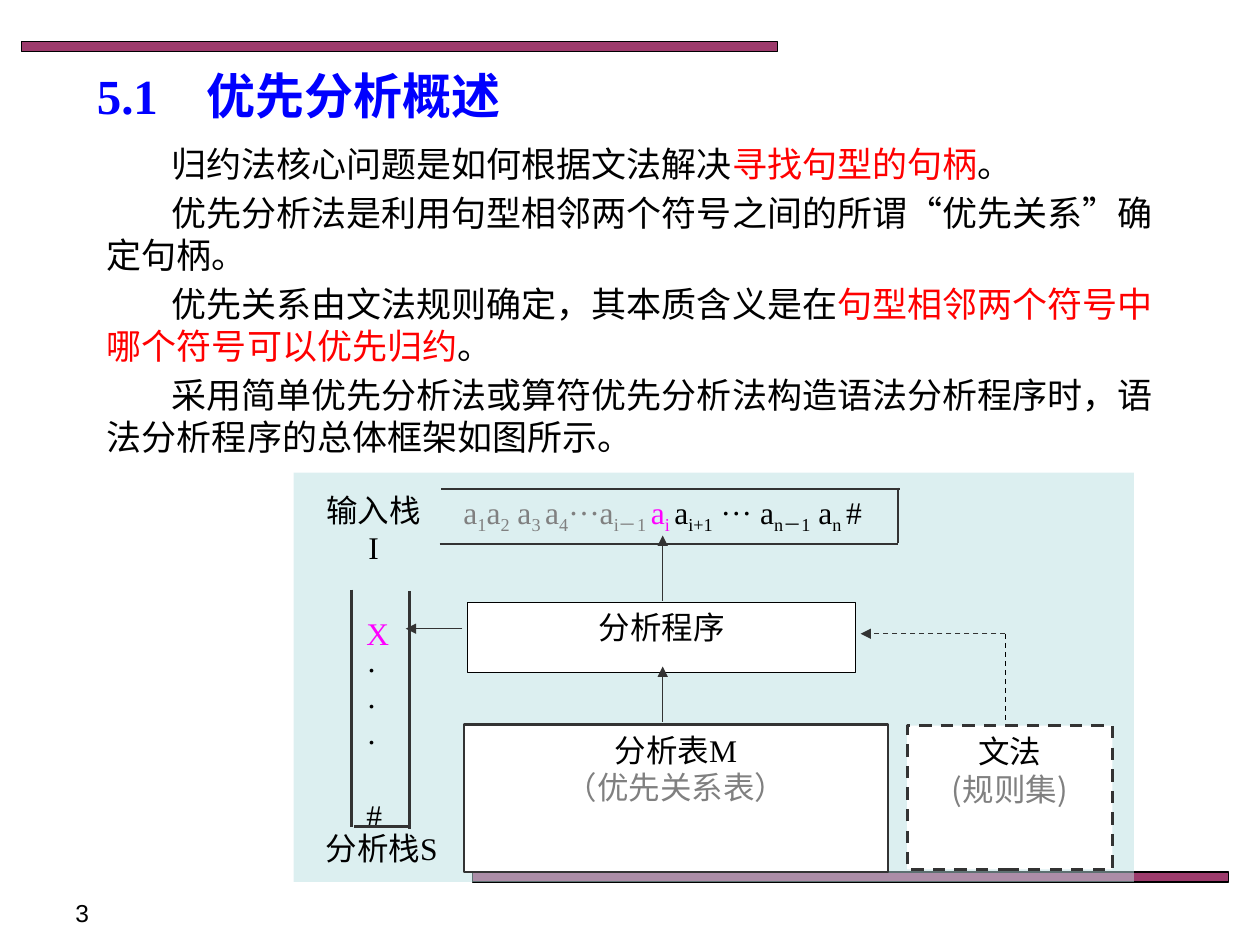
from typing import NamedTuple, Optional

from lxml import etree
from pptx import Presentation
from pptx.dml.color import RGBColor
from pptx.enum.dml import MSO_LINE
from pptx.enum.shapes import MSO_CONNECTOR, MSO_SHAPE
from pptx.enum.text import MSO_ANCHOR, PP_ALIGN
from pptx.oxml.ns import qn
from pptx.util import Inches, Pt

RECT, STRAIGHT = MSO_SHAPE.RECTANGLE, MSO_CONNECTOR.STRAIGHT
DASH = MSO_LINE.DASH
LEFT, CENTER, JUSTIFY = PP_ALIGN.LEFT, PP_ALIGN.CENTER, PP_ALIGN.JUSTIFY
TOP, MIDDLE = MSO_ANCHOR.TOP, MSO_ANCHOR.MIDDLE

BLACK = RGBColor(0x00, 0x00, 0x00)
WHITE = RGBColor(0xFF, 0xFF, 0xFF)
RED = RGBColor(0xFF, 0x00, 0x00)
BLUE = RGBColor(0x00, 0x00, 0xFF)
MAGENTA = RGBColor(0xFF, 0x00, 0xFF)
GRAY = RGBColor(0x80, 0x80, 0x80)
DARK = RGBColor(0x33, 0x33, 0x33)
PLUM = RGBColor(0x99, 0x33, 0x66)
PALE_TEAL = RGBColor(0xBB, 0xE0, 0xE3)

TIMES, SANS, ARIAL = "Times New Roman", "Noto Sans CJK SC", "Arial"


class Run(NamedTuple):
    text: str
    color: RGBColor = BLACK
    font: str = TIMES
    sub: bool = False


class Style(NamedTuple):
    size: float = 18
    align: PP_ALIGN = CENTER
    anchor: MSO_ANCHOR = TOP
    bold: bool = False
    indent: float = 0
    before: float = 0
    spacing: Optional[float] = None
    side_inset: float = 0.1


class Box(NamedTuple):
    left: float
    top: float
    width: float
    height: float
    fill: RGBColor = WHITE
    line: Optional[RGBColor] = BLACK
    weight: float = 0.75
    dash: Optional[MSO_LINE] = None
    opacity: int = 100


class Label(NamedTuple):
    left: float
    top: float
    width: float
    height: float
    paragraphs: list[list[Run]]
    style: Style = Style()


class Stroke(NamedTuple):
    x1: float
    y1: float
    x2: float
    y2: float
    weight: float = 1.25
    color: RGBColor = DARK
    dash: Optional[MSO_LINE] = None
    arrow: bool = False


def write(frame, paragraphs: list[list[Run]], style: Style) -> None:
    frame.word_wrap = True
    frame.vertical_anchor = style.anchor
    frame.margin_left = frame.margin_right = Inches(style.side_inset)
    for number, runs in enumerate(paragraphs):
        para = frame.add_paragraph() if number else frame.paragraphs[0]
        para.alignment = style.align
        para.space_before = Pt(style.before)
        if style.spacing:
            para.line_spacing = style.spacing
        if style.indent:
            para._p.get_or_add_pPr().set("indent", str(Inches(style.indent)))
        for item in runs:
            run = para.add_run()
            run.text = item.text
            run.font.size = Pt(style.size)
            run.font.bold = style.bold
            run.font.name = item.font
            run.font.color.rgb = item.color
            props = run._r.get_or_add_rPr()
            etree.SubElement(props, qn("a:ea")).set("typeface", SANS)
            if item.sub:
                props.set("baseline", "-25000")


def add_box(slide, box: Box, paragraphs: Optional[list[list[Run]]] = None) -> None:
    shape = slide.shapes.add_shape(RECT, *map(Inches, box[:4]))
    shape.shadow.inherit = False
    shape.fill.solid()
    shape.fill.fore_color.rgb = box.fill
    if box.opacity < 100:
        color = shape.fill._xPr.find(qn("a:solidFill"))[0]
        etree.SubElement(color, qn("a:alpha")).set("val", str(box.opacity * 1000))
    if box.line is None:
        shape.line.fill.background()
    else:
        shape.line.color.rgb = box.line
        shape.line.width = Pt(box.weight)
        if box.dash:
            shape.line.dash_style = box.dash
    if paragraphs:
        write(shape.text_frame, paragraphs, Style())


def add_label(slide, label: Label):
    frame = slide.shapes.add_textbox(*map(Inches, label[:4])).text_frame
    write(frame, label.paragraphs, label.style)
    return frame


def add_stroke(slide, stroke: Stroke) -> None:
    line = slide.shapes.add_connector(STRAIGHT, *map(Inches, stroke[:4]))
    line.line.color.rgb = stroke.color
    line.line.width = Pt(stroke.weight)
    if stroke.dash:
        line.line.dash_style = stroke.dash
    if stroke.arrow:
        etree.SubElement(line.line._get_or_add_ln(), qn("a:tailEnd")).set("type", "triangle")
    etree.SubElement(line._element.spPr, qn("a:effectLst"))


prs = Presentation()
prs.slide_width, prs.slide_height = Inches(10), Inches(7.5)
slide = prs.slides.add_slide(prs.slide_layouts[6])

# Decorative bars, page number and diagram panel
for left, top in ((0.17, 0.33), (3.75, 6.92)):
    add_box(slide, Box(left, top, 6, 0.08, PLUM, opacity=96))
add_label(slide, Label(0.5, 7.08, 2.33, 0.27, [[Run("3", font=ARIAL)]], Style(14, LEFT)))
add_box(slide, Box(2.33, 3.75, 6.67, 3.25, PALE_TEAL, None, opacity=50))

# Title and body
add_label(slide, Label(0.67, 0.42, 4.32, 0.67, [[Run("5.1　优先分析概述", BLUE)]],
                       Style(28, LEFT, MIDDLE, bold=True)))
body = [
    [Run("归约法核心问题是如何根据文法解决"), Run("寻找句型的句柄", RED), Run("。")],
    [Run("优先分析法是利用句型相邻两个符号之间的所谓"), Run("“"), Run("优先关系"),
     Run("”"), Run("确定句柄。")],
    [Run("优先关系由文法规则确定，其本质含义是在"),
     Run("句型相邻两个符号中哪个符号可以优先归约", RED), Run("。")],
    [Run("采用简单优先分析法或算符优先分析法构造语法分析程序时，"
         "语法分析程序的总体框架如图所示。")],
]
add_label(slide, Label(0.75, 1.08, 8.5, 2.66, body,
                       Style(20, JUSTIFY, indent=0.51, before=4)))

# Program, table and grammar boxes
add_box(slide, Box(3.71, 4.78, 3.08, 0.56), [[Run("分析程序")]])
add_box(slide, Box(3.68, 5.75, 3.37, 1.17, line=DARK, weight=1.25),
        [[Run("分析表M")], [Run("（优先关系表）", GRAY)]])
add_box(slide, Box(7.2, 5.76, 1.63, 1.14, line=DARK, weight=1.75, dash=DASH),
        [[Run("文法")], [Run("(", GRAY, SANS), Run("规则集", GRAY), Run(")", GRAY, SANS)]])

# Input string: each symbol followed by its subscript
symbols = [("a", "1", GRAY), ("a", "2", GRAY), (" a", "3 ", GRAY), ("a", "4", GRAY),
           ("···a", "i－1 ", GRAY), ("a", "i ", MAGENTA), ("a", "i+1", BLACK),
           (" ··· a", "n－1", BLACK), (" a", "n ", BLACK)]
tape = [Run(text, color, sub=sub) for base, index, color in symbols
        for text, sub in ((base, False), (index, True))] + [Run("#")]
add_label(slide, Label(3.33, 3.86, 3.86, 0.52, [tape]))
add_label(slide, Label(2.42, 3.87, 1.09, 0.52, [[Run("输入栈I")]],
                       Style(spacing=0.96, side_inset=0.14)))

# Analysis stack, with a gap above the bottom marker
stack = [[Run("X", MAGENTA)]] + [[Run("·")] for _ in range(3)] + [[Run("#")]]
stack_frame = add_label(slide, Label(2.81, 4.84, 0.44, 1.76, stack,
                                     Style(align=JUSTIFY, spacing=0.96)))
stack_frame.paragraphs[-1].space_before = Pt(21)
add_label(slide, Label(2.33, 6.53, 1.4, 0.33, [[Run("分析栈S")]]))

# Stack and tape outlines, then arrows
for stroke in (
    Stroke(2.79, 4.68, 2.79, 6.56),
    Stroke(3.25, 4.69, 3.25, 6.58),
    Stroke(2.81, 6.56, 3.25, 6.56),
    Stroke(3.5, 3.88, 7.14, 3.88),
    Stroke(7.13, 3.87, 7.13, 4.31),
    Stroke(3.49, 4.32, 7.13, 4.32),
    Stroke(5.26, 4.77, 5.26, 4.25, 0.75, arrow=True),
    Stroke(3.67, 4.99, 3.22, 4.99, 0.75, arrow=True),
    Stroke(5.26, 5.73, 5.26, 5.29, 0.75, arrow=True),
    Stroke(7.98, 5.03, 6.83, 5.03, 0.75, dash=DASH, arrow=True),
    Stroke(7.98, 5.03, 7.98, 5.72, 0.75, BLACK, DASH),
):
    add_stroke(slide, stroke)

prs.save("out.pptx")
